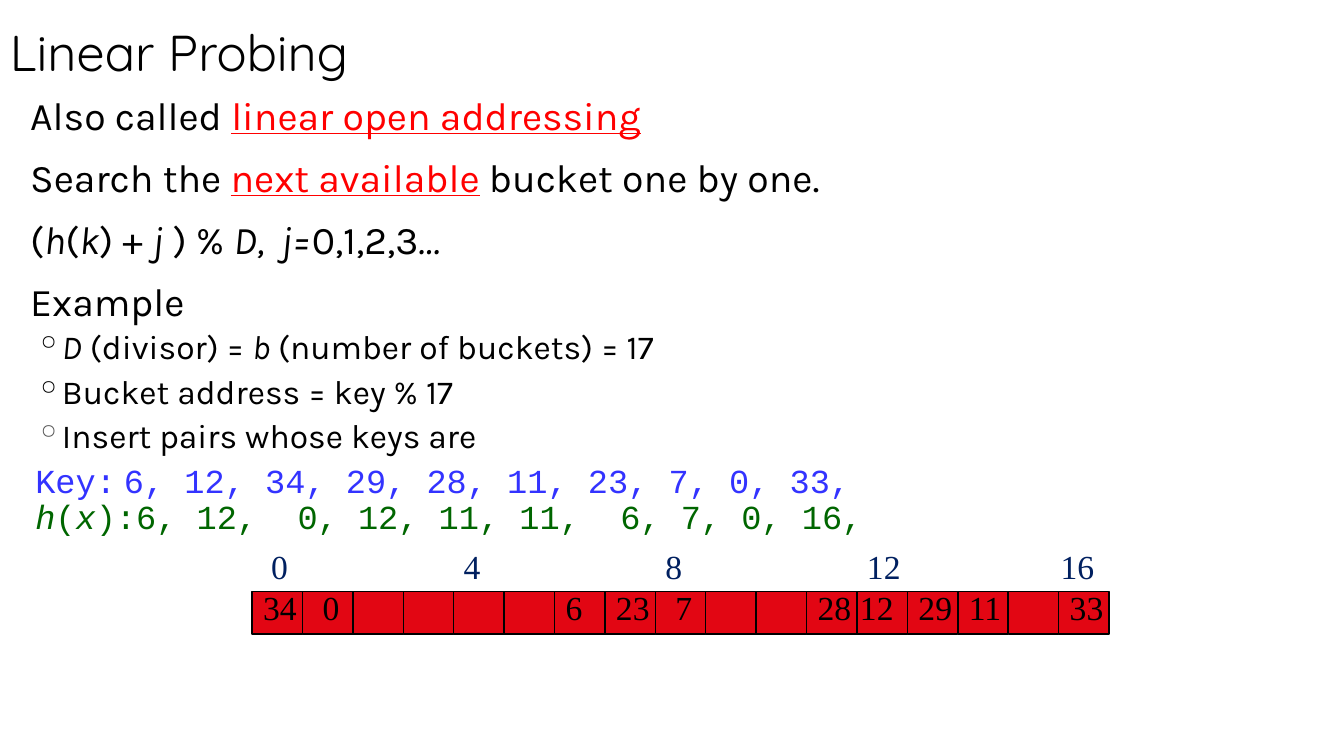
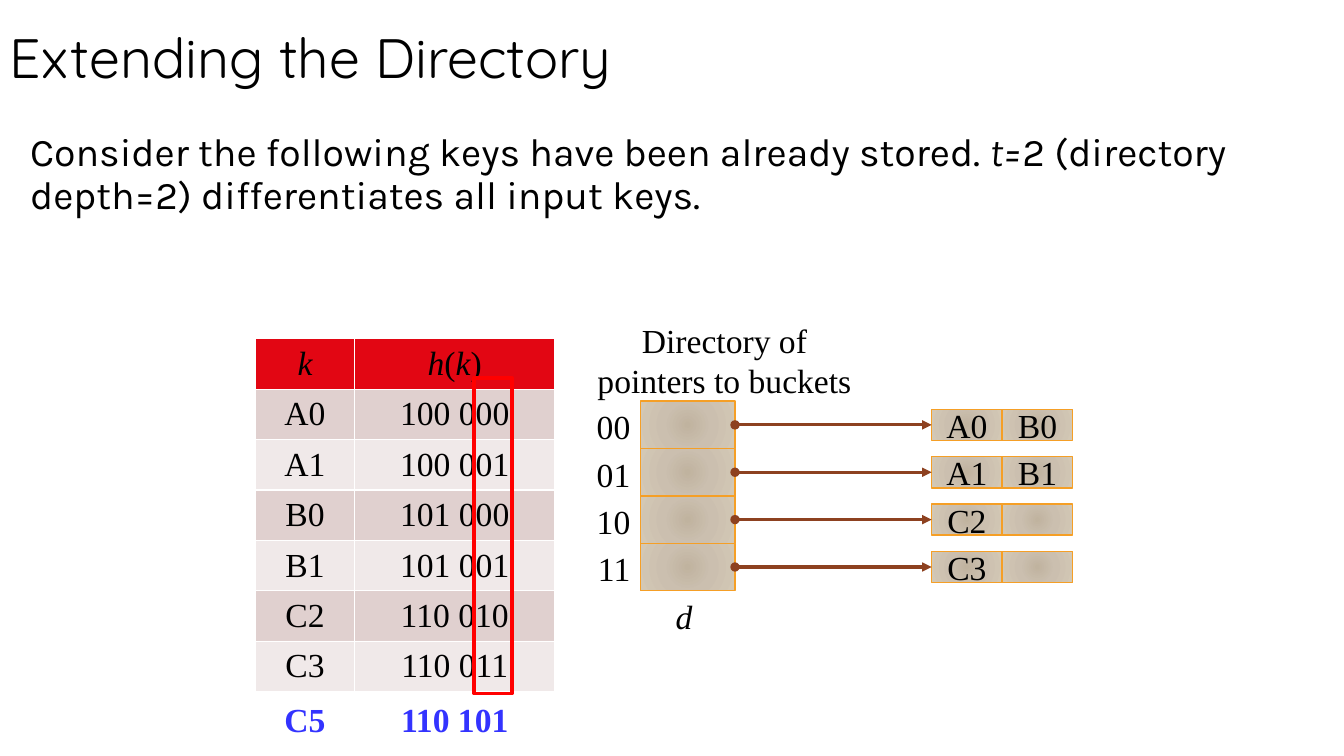
import pptx
import pptx.util
import pptx.dml.color
import pptx.enum.shapes
import pptx.enum.text
import pptx.oxml
import pptx.oxml.ns
import lxml.etree

WIDTH, HEIGHT = 13.33, 7.5
RED, BLACK, BLUE, GREEN, NAVY = "E20613", "000000", "3333FF", "006600", "002060"
STRONG_RED, ORANGE, BROWN = "FF0000", "F59F26", "8D4120"
BANDS = ["E0D0CF", "F0E9E9"]
GRADIENT = [(0, "C0B39F"), (45, "CBBFAF"), (100, "D3C8B5")]
INSETS = (0.1, 0.05, 0.1, 0.05)

SHAPES = pptx.enum.shapes.MSO_SHAPE
ALIGN = pptx.enum.text.PP_ALIGN
ANCHOR = pptx.enum.text.MSO_ANCHOR

TITLE = {"name": "Quicksand", "size": 36, "color": BLACK}
BODY = {"name": "Karla", "size": 28, "color": BLACK}
DETAIL = {**BODY, "size": 24}
KEYS = {"name": "Courier New", "size": 24, "color": BLUE}
HASHES = {**KEYS, "color": GREEN}
LABEL = {"name": "Times New Roman", "size": 24, "color": BLACK, "bold": False}
INDEX = {**LABEL, "color": NAVY}
NEW_KEY = {**LABEL, "color": BLUE, "bold": True}
ITALIC = {"italic": True}
TERM = {"color": STRONG_RED, "underline": True}

POINT = {"left": 0.3, "before": 14, "line": 0.9, "format": BODY}
FIRST_POINT = {**POINT, "before": 0}
DETAIL_POINT = {"left": 0.6, "indent": -0.25, "before": 6, "line": 0.9, "format": DETAIL, "bullet": BLACK}
KEY_LINES = {"left": 0.35, "before": 6, "line": 0.9, "format": KEYS}

PROBING_BODY = [
    (FIRST_POINT, ["Also called ", ("linear open addressing", TERM)]),
    (POINT, ["Search the ", ("next available", TERM), " bucket one by one."]),
    (POINT, ["(", ("h", ITALIC), "(", ("k", ITALIC), ") + ", ("j", ITALIC), " ) % ",
             ("D,  j=", ITALIC), "0,1,2,3", ("…", ITALIC)]),
    (POINT, ["Example"]),
    ({**DETAIL_POINT, "before": 4},
     [("D", ITALIC), " (divisor) = ", ("b", ITALIC), " (number of buckets) = 17"]),
    (DETAIL_POINT, ["Bucket address = key % 17"]),
    ({**DETAIL_POINT, "bullet": "585858"}, ["Insert pairs whose keys are"]),
    (KEY_LINES, ["Key:", (" ", {"name": "Karla"}), "6, 12, 34, 29, 28, 11, 23, 7, 0, 33,", "\n",
                 ("h", {**HASHES, **ITALIC}), ("(", HASHES), ("x", {**HASHES, **ITALIC}),
                 ("):6, 12,  0, 12, 11, 11,  6, 7, 0, 16,", HASHES)]),
]
BUCKET_COUNT = 17
BUCKET_KEYS = {0: "34", 1: "0", 6: "6", 7: "23", 8: "7", 11: "28", 12: "12", 13: "29", 14: "11", 16: "33"}
KEY_INSETS = {1: 0.2, 8: 0.2, 12: 0.03}
BUCKET_INDEXES = [("0", 2.59), ("4", 4.5), ("8", 6.5), ("12", 8.5), ("16", 10.42)]

DIRECTORY_BODY = [
    (FIRST_POINT, ["Consider the following keys have been already stored. ", ("t=", ITALIC),
                   "2 (directory depth=2) differentiates all input keys."]),
]
HASH_HEADER = ([("k", ITALIC)], [("h", ITALIC), "(", ("k", ITALIC), ")"])
HASH_ROWS = [("A0", "100 000"), ("A1", "100 001"), ("B0", "101 000"),
             ("B1", "101 001"), ("C2", "110 010"), ("C3", "110 011")]
NEW_ROW = ("C5", "110 101")
DIRECTORY = [("00", ("A0", "B0")), ("01", ("A1", "B1")), ("10", ("C2", "")), ("11", ("C3", ""))]


def color(value):
    return pptx.dml.color.RGBColor.from_string(value)


def inches(*lengths):
    return [pptx.util.Inches(length) for length in lengths]


def format_font(font, values):
    for name, value in values.items():
        if name == "color":
            font.color.rgb = color(value)
        else:
            setattr(font, name, pptx.util.Pt(value) if name == "size" else value)


def write_paragraph(paragraph, style, runs):
    paragraph.alignment = style.get("align", ALIGN.LEFT)
    paragraph.line_spacing = style.get("line", 1.0)
    paragraph.space_before = pptx.util.Pt(style.get("before", 0))
    properties = paragraph._p.get_or_add_pPr()
    for attribute, key in (("marL", "left"), ("indent", "indent")):
        properties.set(attribute, str(pptx.util.Inches(style.get(key, 0))))
    if "bullet" in style:
        tag = pptx.oxml.ns.qn
        bullet_color = lxml.etree.SubElement(properties, tag("a:buClr"))
        lxml.etree.SubElement(bullet_color, tag("a:srgbClr")).set("val", style["bullet"])
        lxml.etree.SubElement(properties, tag("a:buChar")).set("char", "◦")
    for item in runs:
        if item == "\n":
            paragraph.add_line_break()
            continue
        text, changes = (item, {}) if isinstance(item, str) else item
        run = paragraph.add_run()
        run.text = text
        format_font(run.font, {**style["format"], **changes})


def write_text(frame, paragraphs, insets=INSETS, anchor=ANCHOR.TOP):
    frame.word_wrap = True
    frame.vertical_anchor = anchor
    for side, inset in zip(("left", "top", "right", "bottom"), inches(*insets)):
        setattr(frame, "margin_" + side, inset)
    for number, (style, runs) in enumerate(paragraphs):
        paragraph = frame.add_paragraph() if number else frame.paragraphs[0]
        write_paragraph(paragraph, style, runs)


def add_text(slide, box, paragraphs, **options):
    write_text(slide.shapes.add_textbox(*inches(*box)).text_frame, paragraphs, **options)


def add_label(slide, box, text, align=ALIGN.LEFT, values=LABEL):
    add_text(slide, box, [({"align": align, "format": values}, [text])])


def add_rectangle(slide, box, line, weight=1, fill=None):
    shape = slide.shapes.add_shape(SHAPES.RECTANGLE, *inches(*box))
    shape.shadow.inherit = False
    shape.line.color.rgb = color(line)
    shape.line.width = pptx.util.Pt(weight)
    if fill:
        shape.fill.solid()
        shape.fill.fore_color.rgb = color(fill)
    else:
        shape.fill.background()
    return shape


def add_gradient_cell(slide, box, text=""):
    shape = add_rectangle(slide, box, ORANGE)
    stops = "".join(f'<a:gs pos="{share * 1000}"><a:srgbClr val="{value}"/></a:gs>' for share, value in GRADIENT)
    gradient = pptx.oxml.parse_xml(
        f'<a:gradFill {pptx.oxml.ns.nsdecls("a")} rotWithShape="1"><a:gsLst>{stops}</a:gsLst>'
        '<a:path path="circle"><a:fillToRect l="50000" t="50000" r="50000" b="50000"/></a:path></a:gradFill>')
    properties = shape._element.spPr
    properties.replace(properties.find(pptx.oxml.ns.qn("a:noFill")), gradient)
    if text:
        write_text(shape.text_frame, [({"align": ALIGN.CENTER, "format": LABEL}, [text])], anchor=ANCHOR.MIDDLE)
    return shape


def add_pointer(slide, source, target):
    connector = slide.shapes.add_connector(pptx.enum.shapes.MSO_CONNECTOR.STRAIGHT, 0, 0, 0, 0)
    connector.begin_connect(source, 3)
    connector.end_connect(target, 1)
    connector.line.color.rgb = color(BROWN)
    connector.line.width = pptx.util.Pt(2.25)
    line = connector.line._get_or_add_ln()
    for end, kind in (("a:headEnd", "oval"), ("a:tailEnd", "triangle")):
        lxml.etree.SubElement(line, pptx.oxml.ns.qn(end)).set("type", kind)
    lxml.etree.SubElement(connector._element.spPr, pptx.oxml.ns.qn("a:effectLst"))


def add_slide(presentation, title, title_height, title_size, body, body_box):
    slide = presentation.slides.add_slide(presentation.slide_layouts[6])
    style = {"line": 0.85, "format": {**TITLE, "size": title_size}}
    add_text(slide, (0, 0.3, 9, title_height), [(style, [title])],
             insets=(0.1, 0.05, 0.1, 0.1), anchor=ANCHOR.BOTTOM)
    add_text(slide, body_box, body, insets=(0, 0.05, 0, 0.05))
    return slide


def add_buckets(slide):
    left, top, width, height = 2.5, 5.87, 0.5, 0.42
    for number in range(BUCKET_COUNT):
        bucket = add_rectangle(slide, (left + number * width, top, width, height), BLACK, fill=RED)
        if number in BUCKET_KEYS:
            insets = (KEY_INSETS.get(number, 0.11), 0, 0, 0.07)
            write_text(bucket.text_frame, [({"format": LABEL}, [BUCKET_KEYS[number]])],
                       insets=insets, anchor=ANCHOR.BOTTOM)
    for text, label_left in BUCKET_INDEXES:
        add_label(slide, (label_left, top - 0.5, 0.58, 0.5), text, values=INDEX)


def add_hash_table(slide):
    left, top, row_height = 2.53, 3.36, 0.47
    widths = (0.99, 1.98)
    rows = [HASH_HEADER] + [([key], [code]) for key, code in HASH_ROWS]
    frame = slide.shapes.add_table(len(rows), 2, *inches(left, top, sum(widths), row_height * len(rows)))
    for column, width in zip(frame.table.columns, inches(*widths)):
        column.width = width
    for row_number, row in enumerate(rows):
        fill = BANDS[(row_number - 1) % 2] if row_number else RED
        for column_number, runs in enumerate(row):
            cell = frame.table.cell(row_number, column_number)
            cell.fill.solid()
            cell.fill.fore_color.rgb = color(fill)
            cell.vertical_anchor = ANCHOR.MIDDLE
            write_paragraph(cell.text_frame.paragraphs[0], {"align": ALIGN.CENTER, "format": LABEL}, runs)
    add_rectangle(slide, (4.7, 3.75, 0.38, 3.13), STRONG_RED, weight=2.5)
    for text, box_left, width in zip(NEW_ROW, (left, left + widths[0]), widths):
        add_label(slide, (box_left, 6.88, width, 0.51), text, ALIGN.CENTER, NEW_KEY)


def add_directory(slide):
    left, top, width, height = 6.35, 3.98, 0.94, 0.47
    bucket_left, bucket_width, bucket_height = 9.24, 0.7, 0.31
    for number, (bits, keys) in enumerate(DIRECTORY):
        row_top = top + number * height
        bucket_top = row_top + (height - bucket_height) / 2
        entry = add_gradient_cell(slide, (left, row_top, width, height))
        add_label(slide, (left - 0.86, row_top, 0.86, 0.51), bits, ALIGN.RIGHT)
        slots = [add_gradient_cell(slide, (bucket_left + slot * bucket_width, bucket_top,
                                           bucket_width, bucket_height), key)
                 for slot, key in enumerate(keys)]
        add_pointer(slide, entry, slots[0])
    add_label(slide, (5.81, 3.12, 2.75, 0.91), "Directory of pointers to buckets", ALIGN.CENTER)
    add_label(slide, (6.12, top + len(DIRECTORY) * height, 1.33, 0.51), ("d", ITALIC), ALIGN.CENTER)


def main():
    presentation = pptx.Presentation()
    presentation.slide_width, presentation.slide_height = inches(WIDTH, HEIGHT)
    probing = add_slide(presentation, "Linear Probing", 0.61, 36, PROBING_BODY, (0, 0.91, 8.91, 5.59))
    add_buckets(probing)
    extending = add_slide(presentation, "Extending the Directory", 0.69, 39.6,
                          DIRECTORY_BODY, (0, 1.27, WIDTH, 1.42))
    add_hash_table(extending)
    add_directory(extending)
    presentation.save("out.pptx")


if __name__ == "__main__":
    main()
